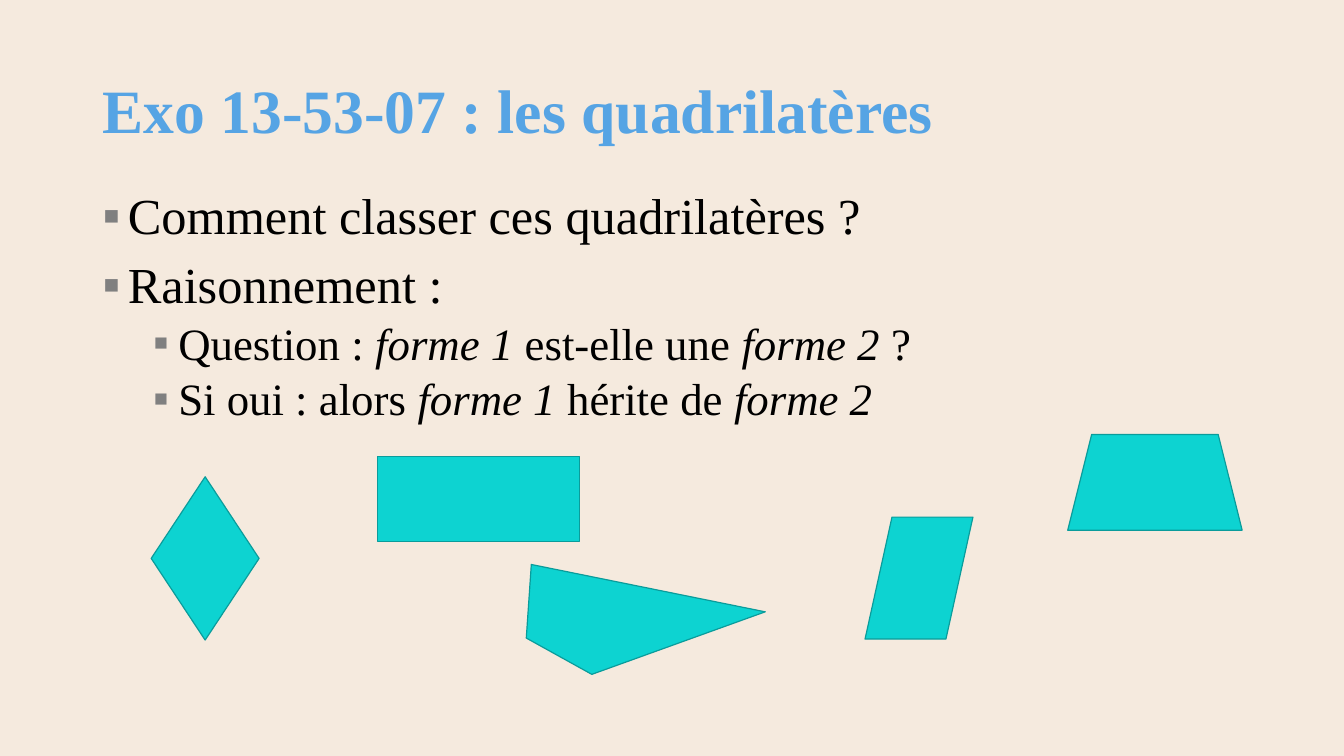
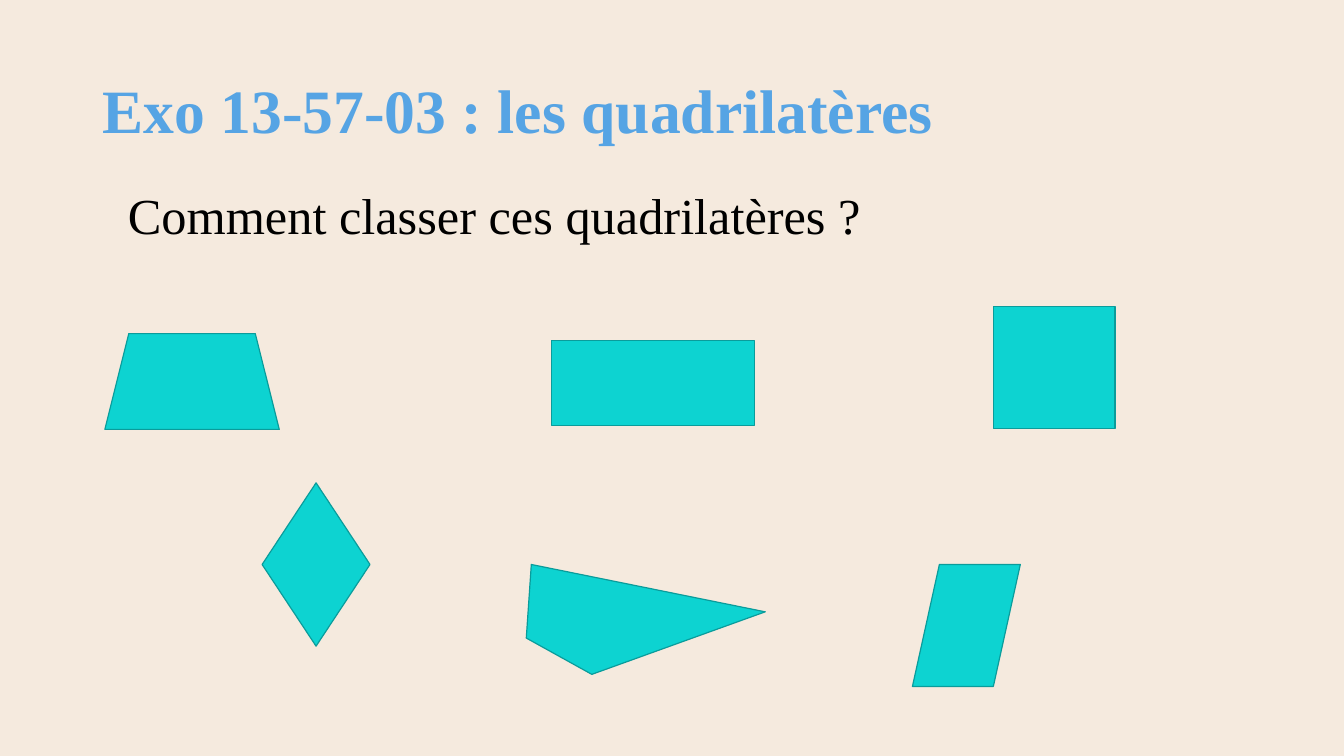
from lxml.etree import SubElement
from pptx import Presentation
from pptx.dml.color import RGBColor
from pptx.enum.shapes import MSO_SHAPE as SHAPE
from pptx.enum.text import MSO_ANCHOR as ANCHOR
from pptx.oxml.ns import qn
from pptx.util import Inches, Pt

COLORS = {"background": "F5EADE", "title": "56A4E4", "text": "000000",
          "bullet": "808080", "fill": "0DD3D1", "outline": "0A9C9B"}
FONT = "Times New Roman"
BODY_SIZES = (36, 32)
SPACES_BEFORE = (10, 5)

# Preset and size shared by every drawing of a quadrilateral
QUADS = {
    "rectangle": (SHAPE.RECTANGLE, 2.01, 0.84),
    "square": (SHAPE.RECTANGLE, 1.21, 1.21),
    "rhombus": (SHAPE.DIAMOND, 1.07, 1.62),
    "parallelogram": (SHAPE.PARALLELOGRAM, 1.07, 1.21),
    "trapezoid": (SHAPE.TRAPEZOID, 1.73, 0.95),
}
IRREGULAR = [(5.27, 5.6), (7.59, 6.07), (5.87, 6.69), (5.22, 6.33)]


def rgb(name):
    return RGBColor.from_string(COLORS[name])


def add_run(p, text, size, color="text", bold=False, italic=False):
    r = p.add_run()
    r.text = text
    r.font.name = FONT
    r.font.size = Pt(size)
    r.font.bold = bold
    r.font.italic = italic
    r.font.color.rgb = rgb(color)


def add_text_frame(s, top, height, anchor):
    tf = s.shapes.add_textbox(Inches(0.92), Inches(top),
                              Inches(11.5), Inches(height)).text_frame
    tf.word_wrap = True
    tf.vertical_anchor = anchor
    return tf


def add_title(s, text):
    p = add_text_frame(s, 0.4, 1.45, ANCHOR.MIDDLE).paragraphs[0]
    p.line_spacing = 0.9
    add_run(p, text, 44, "title", bold=True)


def set_indent(p, level, bulleted):
    p.level = level
    pPr = p._p.get_or_add_pPr()
    pPr.set("marL", str(Inches(0.25 + 0.5 * level)))
    pPr.set("indent", str(Inches(-0.25 if bulleted else 0)))
    if bulleted:
        color = SubElement(pPr, qn("a:buClr"))
        SubElement(color, qn("a:srgbClr"), val=COLORS["bullet"])
        SubElement(pPr, qn("a:buFont"), typeface=FONT)
        SubElement(pPr, qn("a:buChar"), char="▪")


def add_body(s, items, bulleted=True):
    """Each item is (level, texts); every second text is italic."""
    tf = add_text_frame(s, 1.85, 4.91, ANCHOR.TOP)
    for i, (level, texts) in enumerate(items):
        p = tf.add_paragraph() if i else tf.paragraphs[0]
        set_indent(p, level, bulleted)
        p.line_spacing = 0.9
        if i:
            p.space_before = Pt(SPACES_BEFORE[level])
        for j, text in enumerate(texts):
            add_run(p, text, BODY_SIZES[level], italic=j % 2 == 1)


def style_quad(sp):
    sp.shadow.inherit = False
    sp.fill.solid()
    sp.fill.fore_color.rgb = rgb("fill")
    sp.line.color.rgb = rgb("outline")
    sp.line.width = Pt(0.85)


def add_quads(s, places):
    for name, left, top in places:
        preset, width, height = QUADS[name]
        style_quad(s.shapes.add_shape(preset, Inches(left), Inches(top),
                                      Inches(width), Inches(height)))
    start, *others = [(Inches(x), Inches(y)) for x, y in IRREGULAR]
    builder = s.shapes.build_freeform(*start)
    builder.add_line_segments(others, close=True)
    style_quad(builder.convert_to_shape())


def add_exercise(prs, number):
    s = prs.slides.add_slide(prs.slide_layouts[6])
    s.background.fill.solid()
    s.background.fill.fore_color.rgb = rgb("background")
    add_title(s, f"Exo {number} : les quadrilatères")
    return s


def main():
    prs = Presentation()
    prs.slide_width, prs.slide_height = Inches(13.33), Inches(7.5)
    question = (0, ["Comment classer ces quadrilatères ?"])

    s = add_exercise(prs, "13-53-07")
    add_body(s, [
        question,
        (0, ["Raisonnement :"]),
        (1, ["Question : ", "forme 1", " est-elle une ", "forme 2", " ?"]),
        (1, ["Si oui : alors ", "forme 1", " hérite de ", "forme 2"]),
    ])
    add_quads(s, [("rectangle", 3.74, 4.53), ("rhombus", 1.5, 4.73),
                  ("parallelogram", 8.58, 5.13), ("trapezoid", 10.59, 4.31)])

    s = add_exercise(prs, "13-57-03")
    add_body(s, [question], bulleted=False)
    add_quads(s, [("rectangle", 5.47, 3.38), ("rhombus", 2.6, 4.79),
                  ("square", 9.85, 3.04), ("parallelogram", 9.05, 5.6),
                  ("trapezoid", 1.04, 3.31)])

    prs.save("out.pptx")


if __name__ == "__main__":
    main()
